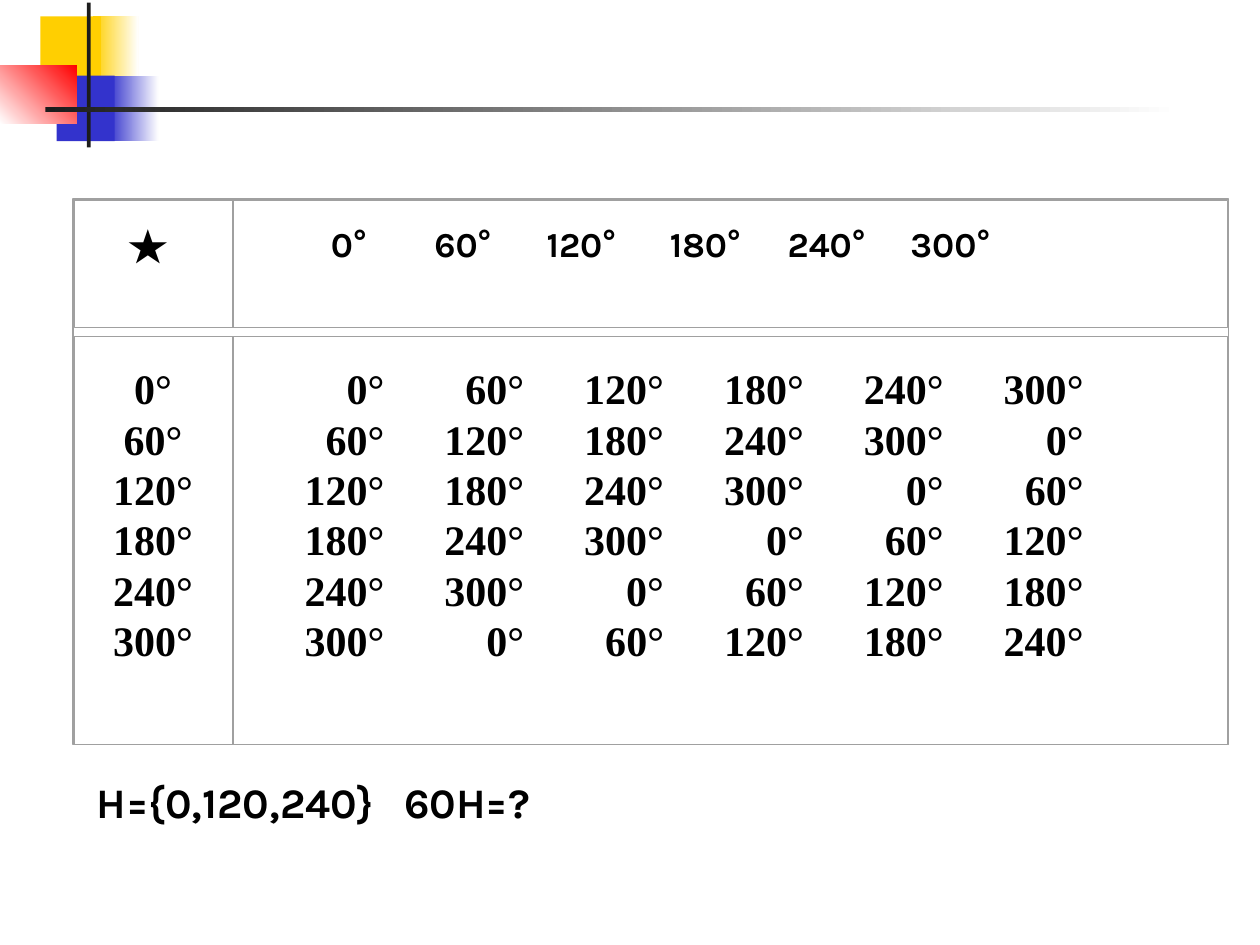
"""Builds a slide with the operation table of the rotations by multiples of 60 degrees."""
from lxml.etree import SubElement
from pptx import Presentation
from pptx.dml.color import RGBColor
from pptx.enum.shapes import MSO_SHAPE as Shape
from pptx.enum.text import MSO_ANCHOR as Anchor, PP_ALIGN as Align
from pptx.oxml.ns import qn
from pptx.util import Inches, Pt

WHITE = RGBColor(0xFF, 0xFF, 0xFF)
BLACK = RGBColor(0x00, 0x00, 0x00)
YELLOW = RGBColor(0xFF, 0xCF, 0x01)
BLUE = RGBColor(0x33, 0x33, 0xCC)
RED = RGBColor(0xFF, 0x00, 0x00)
CHARCOAL = RGBColor(0x1C, 0x1C, 0x1C)
GREY = RGBColor(0xA0, 0xA0, 0xA0)
SERIF, SANS = "Times New Roman", "Karla"

deck = Presentation()
deck.slide_width, deck.slide_height = Inches(10), Inches(7.5)
page = deck.slides.add_slide(deck.slide_layouts[6])
UNIT = deck.slide_width // 1000


def add_block(left, top, width, height):
    block = page.shapes.add_shape(
        Shape.RECTANGLE, left * UNIT, top * UNIT, width * UNIT, height * UNIT)
    block.shadow.inherit = False
    return block


def add_span(para, text, font, size):
    span = para.add_run()
    span.text = text
    span.font.name, span.font.size, span.font.bold = font, Pt(size), True
    span.font.color.rgb = BLACK


ornaments = [
    ((74, 13, 36, 52), (YELLOW, WHITE), 0),
    ((86, 60, 40, 52), (BLUE, WHITE), 0),
    ((32, 13, 48, 52), (YELLOW,), 0),
    ((45, 60, 46, 52), (BLUE,), 0),
    ((0, 52, 61, 46), (WHITE, RED), 45),
    ((69, 2, 3, 115), (CHARCOAL,), 0),
    ((36, 85, 900, 4), (CHARCOAL, WHITE), 0),
]
for place, colours, angle in ornaments:
    ornament = add_block(*place)
    ornament.line.fill.background()
    if len(colours) == 1:
        ornament.fill.solid()
        ornament.fill.fore_color.rgb = colours[0]
    else:
        ornament.fill.gradient()
        ornament.fill.gradient_angle = angle
        for stop, colour in zip(ornament.fill.gradient_stops, colours):
            stop.color.rgb = colour

ORDER, STEP = 6, 60
angles = [f"{STEP * turn}°" for turn in range(ORDER)]
header_rows = [["★"] + angles]
body_rows = [[angles[turn]] + angles[turn:] + angles[:turn] for turn in range(ORDER)]

grids = [
    (header_rows, 177, 50, [117, 115] + [99] * (ORDER - 1), SANS, 20),
    (body_rows, 290, 40, [125, 121] + [111] * (ORDER - 1), SERIF, 24),
]
for rows, top, row_height, column_widths, font, size in grids:
    frame = page.shapes.add_table(
        len(rows), ORDER + 1, 59 * UNIT, top * UNIT,
        sum(column_widths) * UNIT, len(rows) * row_height * UNIT)
    table = frame.table
    table.first_row = table.horz_banding = False
    for column, width in zip(table.columns, column_widths):
        column.width = width * UNIT
    for row, values in zip(table.rows, rows):
        row.height = row_height * UNIT
        for column_index, value in enumerate(values):
            is_label = column_index == 0
            cell = row.cells[column_index]
            cell.fill.background()
            cell.margin_left = cell.margin_right = cell.margin_top = cell.margin_bottom = 0
            cell.vertical_anchor = Anchor.TOP if rows is header_rows else Anchor.MIDDLE
            if rows is header_rows and not is_label:
                cell.margin_top = 2 * UNIT
            para = cell.text_frame.paragraphs[0]
            para.alignment = Align.CENTER if is_label else Align.RIGHT
            add_span(para, value, SERIF if is_label else font, 24 if is_label else size)

borders = [((left, top, width, height), 0)
           for top, height in ((159, 101), (267, 324))
           for left, width in ((59, 126), (185, 789))]
borders.append(((58, 158, 917, 433), 0.88))
for place, weight in borders:
    border = add_block(*place)
    border.fill.background()
    border.line.color.rgb = GREY
    border.line.width = Pt(weight)

box = page.shapes.add_textbox(67 * UNIT, 611 * UNIT, 740 * UNIT, 50 * UNIT)
box.text_frame.word_wrap = True
para = box.text_frame.paragraphs[0]
tabs = SubElement(para._p.get_or_add_pPr(), qn("a:tabLst"))
SubElement(tabs, qn("a:tab"), pos=str(244 * UNIT), algn="l")
add_span(para, "H={0,120,240}\t60H=?", SANS, 24)

deck.save("out.pptx")
